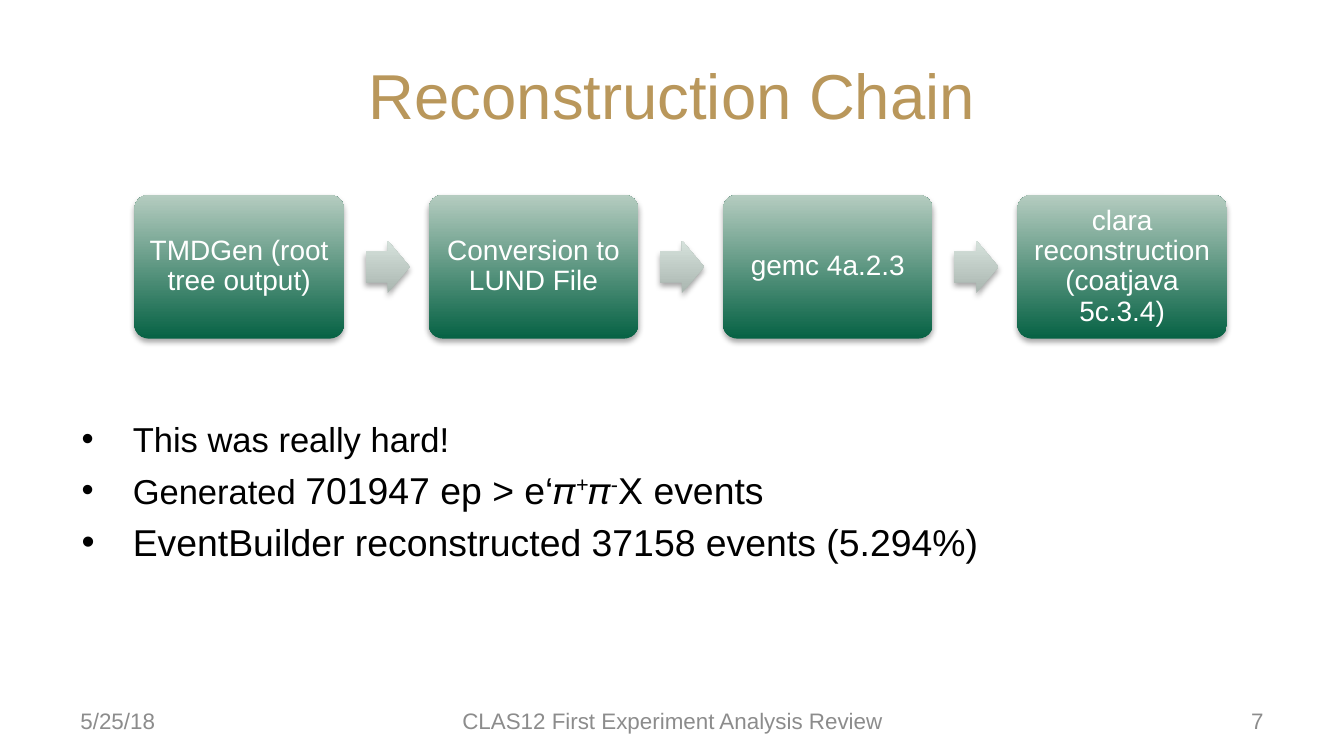
from pptx import Presentation
from pptx.dml.color import RGBColor
from pptx.enum.shapes import MSO_SHAPE
from pptx.enum.text import MSO_ANCHOR, PP_ALIGN
from pptx.oxml import parse_xml
from pptx.oxml.ns import nsdecls, qn
from pptx.util import Inches, Pt
from lxml.etree import SubElement

GOLD = RGBColor(0xB9, 0x97, 0x5B)
BLACK = RGBColor(0, 0, 0)
WHITE = RGBColor(0xFF, 0xFF, 0xFF)
GRAY = RGBColor(0x8C, 0x8C, 0x8C)
STEP_COLORS = RGBColor(0x06, 0x62, 0x44), RGBColor(0xB5, 0xCC, 0xC0)
ARROW_COLORS = RGBColor(0xAA, 0xB6, 0xB0), RGBColor(0xD6, 0xE2, 0xDC)

STEPS = ["TMDGen (root tree output)", "Conversion to LUND File", "gemc 4a.2.3",
         "clara reconstruction (coatjava 5c.3.4)"]
# Each bullet is a list of runs: text, size, superscript
BULLETS = [
    [("This was really hard!", 18.5, False)],
    [("Generated ", 18.5, False), ("701947 ep ˃ e‘𝜋", 20, False), ("+", 20, True),
     ("𝜋", 20, False), ("-", 20, True), ("X events", 20, False)],
    [("EventBuilder reconstructed 37158 events (5.294%)", 20, False)],
]
FOOTERS = [("5/25/18", 0.5, 2.33, PP_ALIGN.LEFT),
           ("CLAS12 First Experiment Analysis Review", 3.33, 3.35, PP_ALIGN.CENTER),
           ("7", 7.17, 2.33, PP_ALIGN.RIGHT)]


def set_attrs(obj, values):
    for name, value in values.items():
        setattr(obj, name, value)


def add_run(p, text, size, color):
    r = p.add_run()
    r.text = text
    set_attrs(r.font, {"name": "Arial", "size": Pt(size)})
    r.font.color.rgb = color
    return r


def add_text_box(s, x, y, w, h, anchor):
    tf = s.shapes.add_textbox(Inches(x), Inches(y), Inches(w), Inches(h)).text_frame
    set_attrs(tf, {"word_wrap": True, "vertical_anchor": anchor})
    return tf


def add_title(s, x, y, w, h):
    title = s.shapes.title
    set_attrs(title, {"left": Inches(x), "top": Inches(y),
                      "width": Inches(w), "height": Inches(h)})
    title.text_frame.vertical_anchor = MSO_ANCHOR.MIDDLE
    p = title.text_frame.paragraphs[0]
    p.alignment = PP_ALIGN.CENTER
    add_run(p, "Reconstruction Chain", 34, GOLD)


def add_gradient_shape(s, kind, x, y, w, h, adjustments, colors):
    """Add a borderless shape, shaded from colors[0] at the bottom, with a soft shadow."""
    sp = s.shapes.add_shape(kind, Inches(x), Inches(y), Inches(w), Inches(h))
    for i, value in enumerate(adjustments):
        sp.adjustments[i] = value
    sp.fill.gradient()
    sp.fill.gradient_angle = 90
    for stop, color, position in zip(sp.fill.gradient_stops, colors, (0, 1)):
        stop.color.rgb = color
        stop.position = position
    sp.line.fill.background()
    sp._element.spPr.append(parse_xml(
        f'<a:effectLst {nsdecls("a")}>'
        '<a:outerShdw blurRad="39370" dist="22860" dir="5400000" rotWithShape="0">'
        '<a:srgbClr val="000000"><a:alpha val="35000"/></a:srgbClr>'
        '</a:outerShdw></a:effectLst>'))
    return sp


def add_chain(s, x, y, w, h):
    """Spread the steps evenly over the box, with an arrow in each gap."""
    step_w, arrow_w, arrow_h = 1.56, 0.33, 0.39
    pitch = (w - step_w) / (len(STEPS) - 1)
    for i, text in enumerate(STEPS):
        left = x + i * pitch
        sp = add_gradient_shape(s, MSO_SHAPE.ROUNDED_RECTANGLE, left, y, step_w, h,
                                [0.1], STEP_COLORS)
        tf = sp.text_frame
        margins = dict.fromkeys(("margin_left", "margin_right", "margin_top",
                                 "margin_bottom"), Inches(0.06))
        set_attrs(tf, {"word_wrap": True, "vertical_anchor": MSO_ANCHOR.MIDDLE, **margins})
        p = tf.paragraphs[0]
        set_attrs(p, {"alignment": PP_ALIGN.CENTER, "line_spacing": 0.9})
        add_run(p, text, 15, WHITE)
        if i < len(STEPS) - 1:
            add_gradient_shape(s, MSO_SHAPE.RIGHT_ARROW, left + step_w + 0.16,
                               y + (h - arrow_h) / 2, arrow_w, arrow_h,
                               [0.6, 0.5], ARROW_COLORS)


def add_bullets(s, x, y, w, h):
    tf = add_text_box(s, x, y, w, h, MSO_ANCHOR.TOP)
    for i, runs in enumerate(BULLETS):
        p = tf.add_paragraph() if i else tf.paragraphs[0]
        p.space_before = Pt(4)
        pPr = p._p.get_or_add_pPr()
        pPr.set("marL", str(Inches(0.38)))
        pPr.set("indent", str(-Inches(0.38)))
        SubElement(pPr, qn("a:buFont")).set("typeface", "Arial")
        SubElement(pPr, qn("a:buChar")).set("char", "•")
        for text, size, superscript in runs:
            r = add_run(p, text, size, BLACK)
            if superscript:
                r._r.get_or_add_rPr().set("baseline", "30000")


def add_footers(s, y, h):
    for text, x, w, align in FOOTERS:
        p = add_text_box(s, x, y, w, h, MSO_ANCHOR.MIDDLE).paragraphs[0]
        p.alignment = align
        add_run(p, text, 12, GRAY)


def main():
    prs = Presentation()
    width = Inches(10)
    set_attrs(prs, {"slide_width": width, "slide_height": width * 9 // 16})
    s = prs.slides.add_slide(prs.slide_layouts[5])
    add_title(s, 0.5, 0.23, 9, 0.94)
    add_chain(s, 1, 1.45, 8.13, 1.07)
    add_bullets(s, 0.51, 3.06, 8.4, 1.89)
    add_footers(s, 5.21, 0.3)
    prs.save("out.pptx")


if __name__ == "__main__":
    main()
